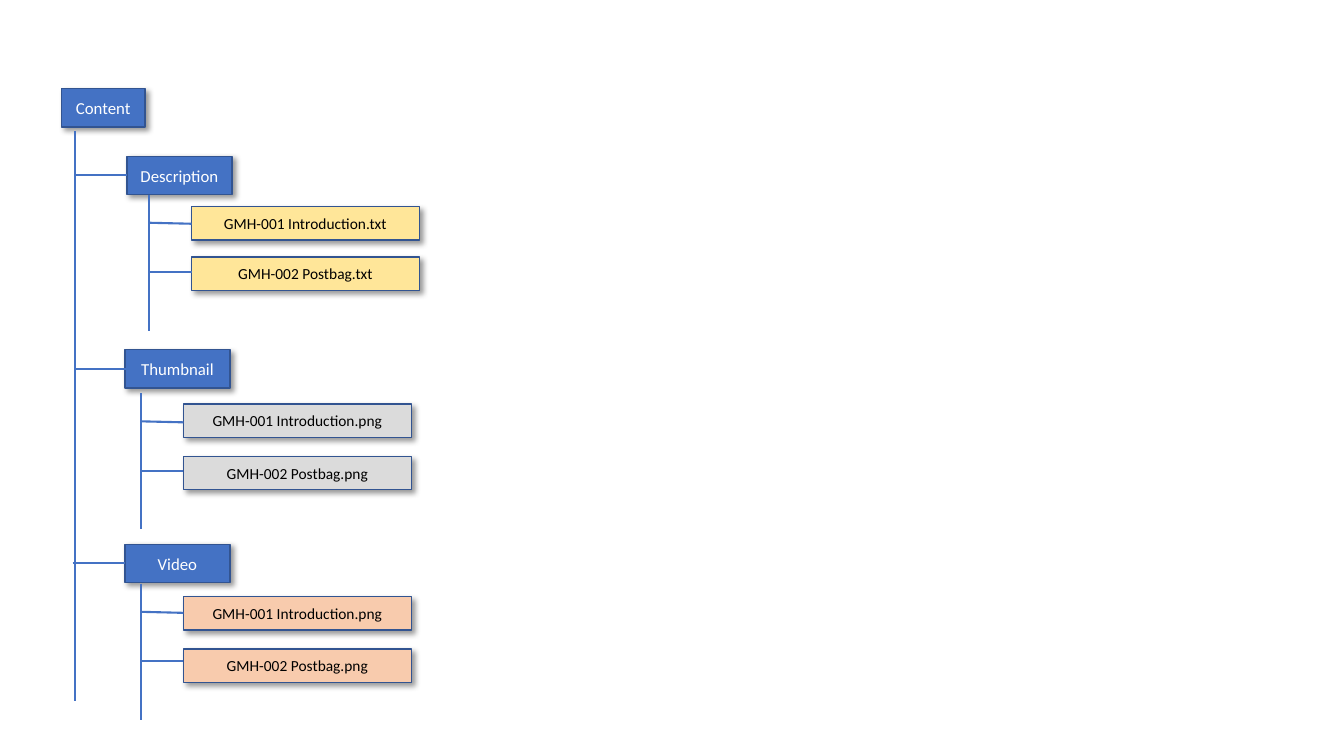
from dataclasses import dataclass

from lxml import etree
from pptx import Presentation, util as u
from pptx.dml.color import RGBColor
from pptx.enum import shapes, text
from pptx.oxml import ns


@dataclass(frozen=True)
class Theme:
    """Colours, type sizes and line widths of the slide."""
    font: str = "Calibri"
    blue: str = "4472C4"
    outline: str = "325491"
    white: str = "FFFFFF"
    black: str = "000000"
    yellow: str = "FFE699"
    grey: str = "DBDBDB"
    orange: str = "F8CBAD"
    folder_size: int = 12
    file_size: int = 11
    outline_width: float = 1
    branch_width: float = 1.5


THEME = Theme()
CELL = 0.1  # side of a grid cell, in inches
FOLDER_WIDTH, FOLDER_HEIGHT = 10.4, 3.8
FILE_WIDTH, FILE_HEIGHT = 22.6, 3.3
BRANCH_LENGTH = 13.5
TWIG_LENGTH = 4.2
TWIG_ROWS = ((2.8, 2.9), (7.7, 7.7))  # start and end, below the branch top
ROOT_TWIG_LENGTH = 5.2


def grid(cells):
    """Turn grid columns or rows into a length."""
    return u.Inches(cells * CELL)


def add_effects(shape, shadow=False):
    """Set the shape's effects: none, or a soft shadow to the lower right."""
    properties = shape._element.spPr
    effects = etree.SubElement(properties, ns.qn("a:effectLst"))
    if shadow:
        outer = etree.SubElement(
            effects, ns.qn("a:outerShdw"), blurRad=str(u.Pt(4)), dist=str(u.Pt(3)),
            dir=str(45 * 60000), algn="tl", rotWithShape="0")
        colour = etree.SubElement(outer, ns.qn("a:srgbClr"), val=THEME.black)
        etree.SubElement(colour, ns.qn("a:alpha"), val="40000")


def write_text(shape, words, size, colour, align=text.PP_ALIGN.CENTER,
               anchor=text.MSO_ANCHOR.MIDDLE):
    """Write one formatted paragraph into a shape."""
    frame = shape.text_frame
    frame.word_wrap = True
    frame.vertical_anchor = anchor
    paragraph = frame.paragraphs[0]
    paragraph.alignment = align
    run = paragraph.add_run()
    run.text = words
    run.font.name = THEME.font
    run.font.size = u.Pt(size)
    run.font.color.rgb = RGBColor.from_string(colour)


def add_box(slide, box, words, fill, size, colour):
    """Add a labelled rectangle at a (left, top, width, height) grid box."""
    shape = slide.shapes.add_shape(
        shapes.MSO_SHAPE.RECTANGLE, *(grid(side) for side in box))
    shape.fill.solid()
    shape.fill.fore_color.rgb = RGBColor.from_string(fill)
    shape.line.color.rgb = RGBColor.from_string(THEME.outline)
    shape.line.width = u.Pt(THEME.outline_width)
    add_effects(shape, shadow=True)
    write_text(shape, words, size, colour)


def add_line(slide, start, end):
    """Add a straight tree line between two grid points."""
    line = slide.shapes.add_connector(
        shapes.MSO_CONNECTOR.STRAIGHT, *(grid(place) for place in (*start, *end)))
    line.line.color.rgb = RGBColor.from_string(THEME.blue)
    line.line.width = u.Pt(THEME.branch_width)
    add_effects(line)


def add_folder(slide, box, words):
    """Add a blue folder box."""
    add_box(slide, box, words, THEME.blue, THEME.folder_size, THEME.white)


def add_files(slide, origin, names, fill, first_row, row_step):
    """Add a branch growing down from origin, with its twigs and file boxes."""
    left, top = origin
    file_left = left + TWIG_LENGTH
    for index, name in enumerate(names):
        file_top = top + first_row + index * row_step
        add_box(slide, (file_left, file_top, FILE_WIDTH, FILE_HEIGHT),
                name, fill, THEME.file_size, THEME.black)
    add_line(slide, origin, (left, top + BRANCH_LENGTH))
    for start_row, end_row in TWIG_ROWS:
        add_line(slide, (left, top + start_row), (file_left, top + end_row))


def add_root(slide, box, branch_top, branch_bottom):
    """Add the root folder with its trunk, and return the trunk's column."""
    add_folder(slide, box, "Content")
    trunk = box[0] + 1.3
    add_line(slide, (trunk, branch_top), (trunk, branch_bottom))
    return trunk


def add_subfolder(slide, origin, words, twig_left):
    """Add a subfolder at origin, joined to the trunk by a level twig."""
    left, top = origin
    add_folder(slide, (left, top, FOLDER_WIDTH, FOLDER_HEIGHT), words)
    middle = top + FOLDER_HEIGHT / 2
    add_line(slide, (twig_left, middle), (twig_left + ROOT_TWIG_LENGTH, middle))


def build_tree_slide(slide):
    """Build the content folder tree."""
    trunk = add_root(slide, (6.1, 8.8, 8.3, 3.8), 13, 69.5)
    # name, folder origin, twig shift, branch origin, extension, fill, first row, step
    folders = (
        ("Description", (12.6, 15.5), 0, (14.8, 19.3), "txt", THEME.yellow, 1.2, 5),
        ("Thumbnail", (12.4, 34.7), 0, (14, 39), "png", THEME.grey, 1.1, 5.2),
        ("Video", (12.4, 54), -0.2, (14, 57.9), "png", THEME.orange, 1.3, 5.2),
    )
    for name, origin, shift, branch, extension, fill, first_row, row_step in folders:
        add_subfolder(slide, origin, name, trunk + shift)
        files = [f"{title}.{extension}"
                 for title in ("GMH-001 Introduction", "GMH-002 Postbag")]
        add_files(slide, branch, files, fill, first_row, row_step)


def main():
    """Create the presentation and save it."""
    presentation = Presentation()
    presentation.slide_width = u.Inches(13.33)
    presentation.slide_height = u.Inches(7.5)
    slide = presentation.slides.add_slide(presentation.slide_layouts[6])
    build_tree_slide(slide)
    presentation.save("out.pptx")


main()
